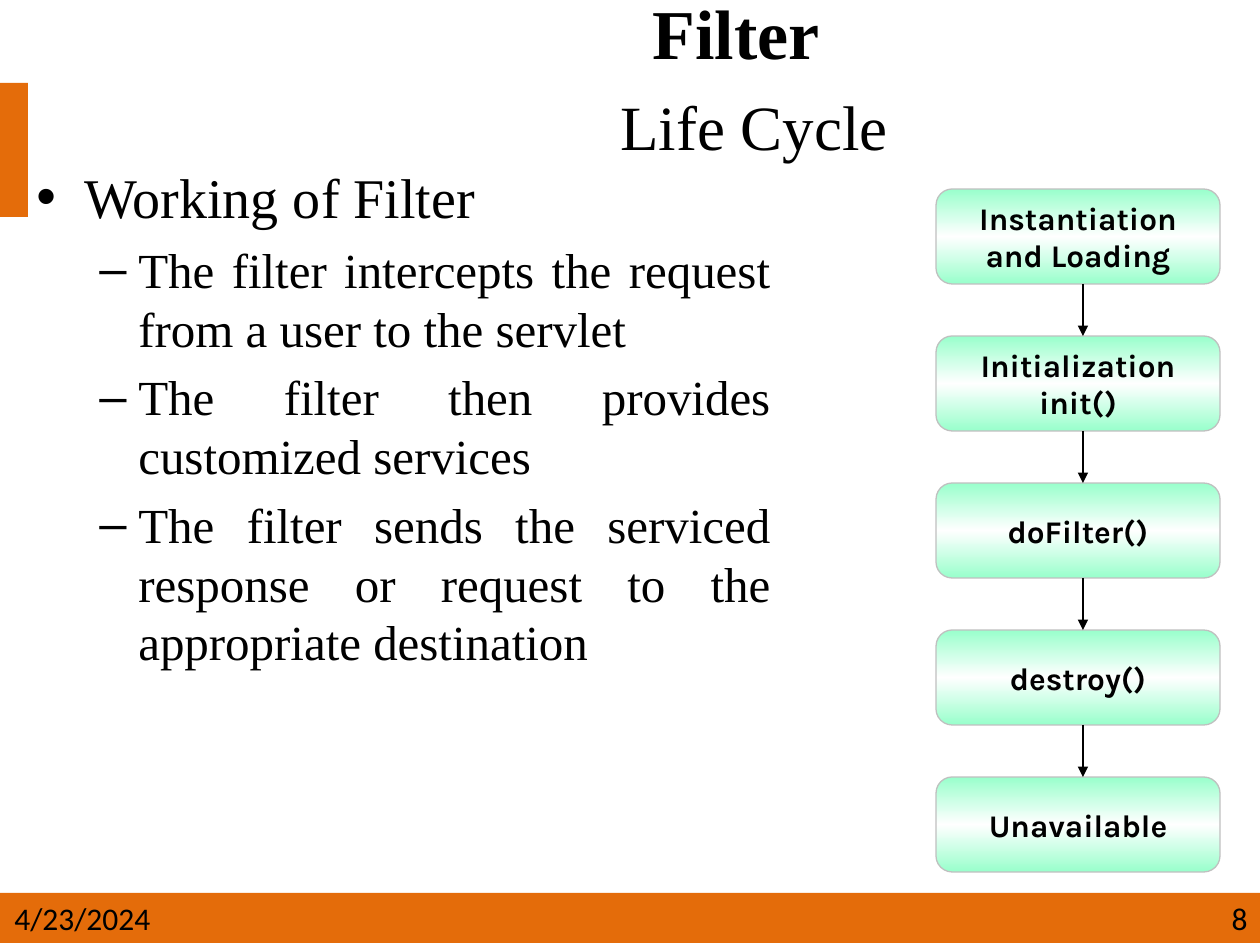
from copy import deepcopy

from lxml.etree import SubElement
from pptx import Presentation
from pptx.dml.color import RGBColor
from pptx.enum.shapes import MSO_CONNECTOR as Connector, MSO_SHAPE as Shape
from pptx.enum.text import MSO_ANCHOR as Anchor, PP_ALIGN as Align
from pptx.oxml.ns import qn
from pptx.util import Pt

PX = 914400 / 126
SERIF, SANS, LABEL = "Times New Roman", "Calibri", "Karla"
ORANGE, MINT, WHITE, GREY, BLACK = "E46C0A", "99FFCC", "FFFFFF", "C0C0C0", "000000"


def emu(*lengths):
    return [round(length * PX) for length in lengths]


def color(hex_code):
    return RGBColor.from_string(hex_code)


def add_text(paragraph, text, size=18, font=SANS, bold=False):
    run = paragraph.add_run()
    run.text = text
    run.font.size = Pt(size)
    run.font.name = font
    run.font.bold = bold
    run.font.color.rgb = color(BLACK)


class FilterSlide:
    def __init__(self, prs):
        self.slide = prs.slides.add_slide(prs.slide_layouts[6])
        self.shapes = self.slide.shapes

    def bar(self, *box):
        bar = self.shapes.add_shape(Shape.RECTANGLE, *emu(*box))
        bar.shadow.inherit = False
        bar.fill.solid()
        bar.fill.fore_color.rgb = color(ORANGE)
        bar.line.fill.background()

    def text_box(self, *box, anchor=Anchor.TOP):
        frame = self.shapes.add_textbox(*emu(*box)).text_frame
        frame.word_wrap = True
        frame.vertical_anchor = anchor
        return frame

    def line_of_text(self, text, *box, align=Align.LEFT):
        paragraph = self.text_box(*box).paragraphs[0]
        paragraph.alignment = align
        add_text(paragraph, text)

    def bullet(self, paragraph, text, char, size, margin, hanging, level=0):
        paragraph.level = level
        paragraph.alignment = Align.JUSTIFY
        props = paragraph._p.get_or_add_pPr()
        left, indent = emu(margin, -hanging)
        props.set("marL", str(left))
        props.set("indent", str(indent))
        SubElement(props, qn("a:buFont"), typeface="Arial")
        SubElement(props, qn("a:buChar"), char=char)
        add_text(paragraph, text, size, SERIF)

    def stage(self, text, *box):
        stage = self.shapes.add_shape(Shape.ROUNDED_RECTANGLE, *emu(*box))
        stage.adjustments[0] = 0.17
        stage.shadow.inherit = False
        stage.fill.gradient()
        stage.fill.gradient_angle = 90
        # A middle stop makes the white band
        first = stage.fill._fill._gradFill.gsLst[0]
        first.addnext(deepcopy(first))
        bands = ((0, MINT), (0.5, WHITE), (1, MINT))
        for stop, (position, tint) in zip(stage.fill.gradient_stops, bands):
            stop.position = position
            stop.color.rgb = color(tint)
        stage.line.color.rgb = color(GREY)
        stage.line.width = Pt(0.75)
        frame = stage.text_frame
        frame.word_wrap = True
        frame.vertical_anchor = Anchor.MIDDLE
        frame.paragraphs[0].alignment = Align.CENTER
        add_text(frame.paragraphs[0], text, 18, LABEL, bold=True)

    def arrow(self, x, top, bottom):
        arrow = self.shapes.add_connector(Connector.STRAIGHT, *emu(x, top, x, bottom))
        arrow.line.color.rgb = color(BLACK)
        arrow.line.width = Pt(0.75)
        SubElement(arrow.line._get_or_add_ln(), qn("a:tailEnd"), type="triangle")
        SubElement(arrow._element.spPr, qn("a:effectLst"))


def main():
    prs = Presentation()
    prs.slide_width, prs.slide_height = emu(1260, 945)
    page = FilterSlide(prs)

    # Footer band and side accent
    page.bar(0, 893, 1260, 50)
    page.bar(0, 83, 28, 134)

    # Title
    title = page.text_box(229, 0, 1031, 156, anchor=Anchor.MIDDLE).paragraphs[0]
    title.alignment = Align.CENTER
    add_text(title, "Filter ", 40, SERIF, bold=True)
    title.add_line_break()
    add_text(title, " ", 44, SERIF, bold=True)
    add_text(title, "Life Cycle", 36, SERIF)

    # How a filter works
    body = page.text_box(24, 156, 759, 534)
    page.bullet(body.paragraphs[0], "Working of Filter", "•", 32, 48, 48)
    for step in (
        "The filter intercepts the request from a user to the servlet",
        "The filter then provides customized services",
        "The filter sends the serviced response or request to the appropriate destination",
    ):
        paragraph = body.add_paragraph()
        page.bullet(paragraph, step, "–", 28, 102, 39, level=1)
        paragraph.space_before = Pt(5.6)

    # Life cycle stages, joined by arrows
    stages = ("Instantiation and Loading", "Initialization init()",
              "doFilter()", "destroy()", "Unavailable")
    first_top, height, pitch = 189, 95, 147
    for i, stage in enumerate(stages):
        top = first_top + i * pitch
        page.stage(stage, 936, top, 284, height)
        if i:
            page.arrow(1083, top - pitch + height, top)

    # Date and page number
    page.line_of_text("4/23/2024", 2, 893, 192, 50)
    page.line_of_text("8", 882, 893, 378, 50, align=Align.RIGHT)

    prs.save("out.pptx")


if __name__ == "__main__":
    main()
